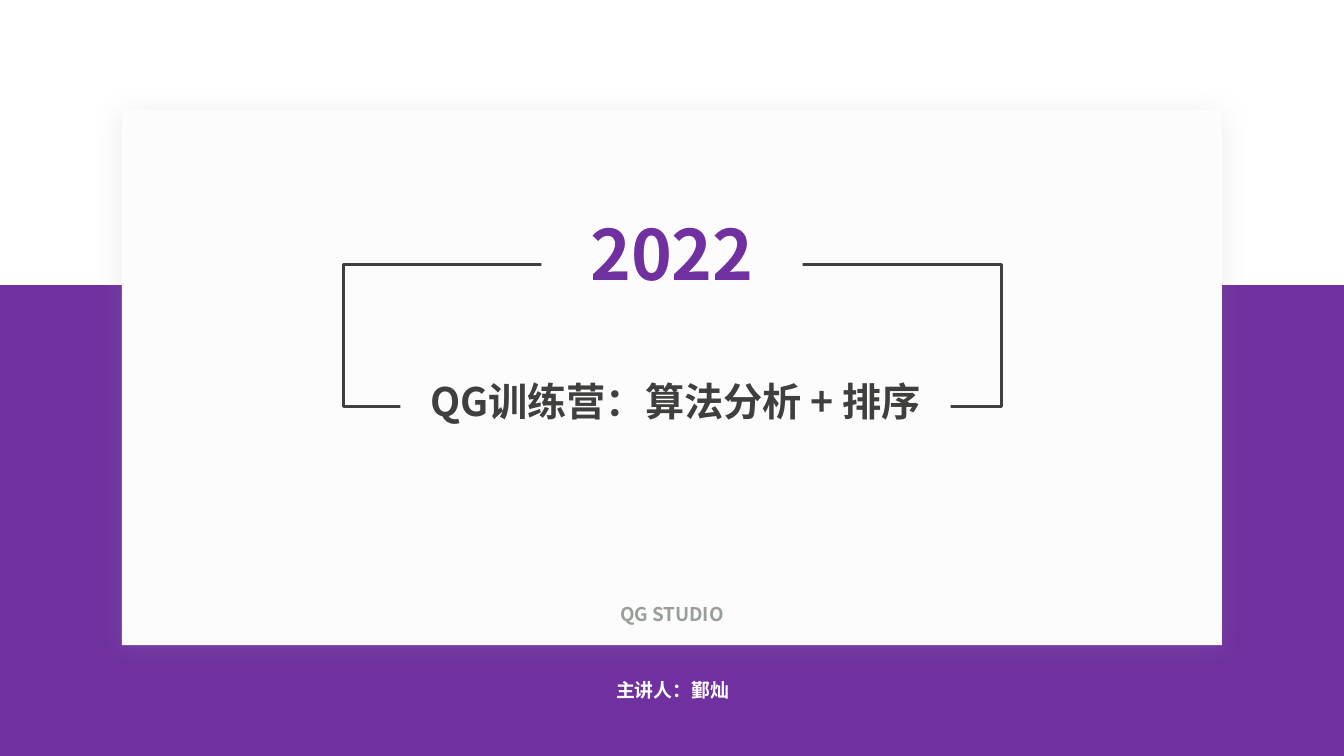
from lxml.etree import SubElement
from pptx import Presentation
from pptx.dml.color import RGBColor
from pptx.enum.shapes import MSO_SHAPE
from pptx.enum.text import MSO_ANCHOR, MSO_AUTO_SIZE, PP_ALIGN
from pptx.oxml.ns import qn
from pptx.util import Inches, Pt

FONT = "Noto Sans CJK JP"
HUES = {"purple": "7030A0", "paper": "FCFCFD", "ink": "3F403E",
        "grey": "969F98", "white": "FFFFFF"}
WIDE, HIGH = 13.33, 7.5


def hue(name):
    """Give the named colour."""
    return RGBColor.from_string(HUES[name])


def place(item, box):
    """Move an item to a box in inches."""
    item.left, item.top, item.width, item.height = map(Inches, box)


def block(slide, box, fill=None, line=None):
    """Draw a plain rectangle."""
    rect = slide.shapes.add_shape(MSO_SHAPE.RECTANGLE, *map(Inches, box))
    rect.shadow.inherit = False
    if fill:
        rect.fill.solid()
        rect.fill.fore_color.rgb = hue(fill)
    else:
        rect.fill.background()
    if line:
        rect.line.color.rgb = hue(line)
        rect.line.width = Pt(2)
    else:
        rect.line.fill.background()
    return rect


def glow(rect):
    """Give a rectangle a soft shadow below."""
    list_ = rect._element.spPr.find(qn("a:effectLst"))
    shade = SubElement(list_, qn("a:outerShdw"), blurRad=str(Pt(20)),
                       dist=str(Pt(3)), dir="5400000", algn="t", rotWithShape="0")
    tint = SubElement(shade, qn("a:srgbClr"), val=HUES["grey"])
    SubElement(tint, qn("a:alpha"), val="20000")


def write(item, text, size, color):
    """Set one bold centred line of text."""
    frame = item.text_frame
    frame.text = text
    frame.word_wrap = True
    frame.auto_size = MSO_AUTO_SIZE.NONE
    frame.vertical_anchor = MSO_ANCHOR.TOP
    para = frame.paragraphs[0]
    para.alignment = PP_ALIGN.CENTER
    para.line_spacing = 0.9
    font = para.font
    font.size, font.bold, font.name = Pt(size), True, FONT
    font.color.rgb = hue(color)
    SubElement(font._element, qn("a:ea"), typeface=FONT)


def label(slide, box, text, color):
    """Add a small line of text."""
    write(slide.shapes.add_textbox(*map(Inches, box)), text, 13.5, color)


def heading(slide, box):
    """Draw the frame with the year and title set into its edges."""
    left, top, width, height = box
    mid = left + width / 2
    frame = block(slide, box, line="ink")
    title = slide.shapes.title
    frame._element.addnext(title._element)
    place(title, (mid - 2.7, top + height - 0.28, 5.46, 0.93))
    title.fill.solid()
    title.fill.fore_color.rgb = hue("paper")
    write(title, "QG训练营：算法分析 + 排序", 28, "ink")
    year = block(slide, (mid - 1.3, top - 0.48, 2.59, 0.93), "paper")
    write(year, "2022", 49.5, "purple")


def cover(slide):
    """Lay out the cover slide."""
    block(slide, (0, 2.83, WIDE, HIGH - 2.83), "purple")
    glow(block(slide, (1.21, 1.09, WIDE - 2 * 1.21, 5.31), "paper"))
    heading(slide, (3.41, 2.62, 6.52, 1.41))
    label(slide, (5.16, 6.71, 3.02, 0.33), "主讲人：鄞灿", "white")
    label(slide, (5.8, 5.96, 1.73, 0.33), "QG STUDIO", "grey")


def main():
    """Build and save the deck."""
    deck = Presentation()
    deck.slide_width, deck.slide_height = Inches(WIDE), Inches(HIGH)
    cover(deck.slides.add_slide(deck.slide_layouts[5]))
    deck.save("out.pptx")


if __name__ == "__main__":
    main()
